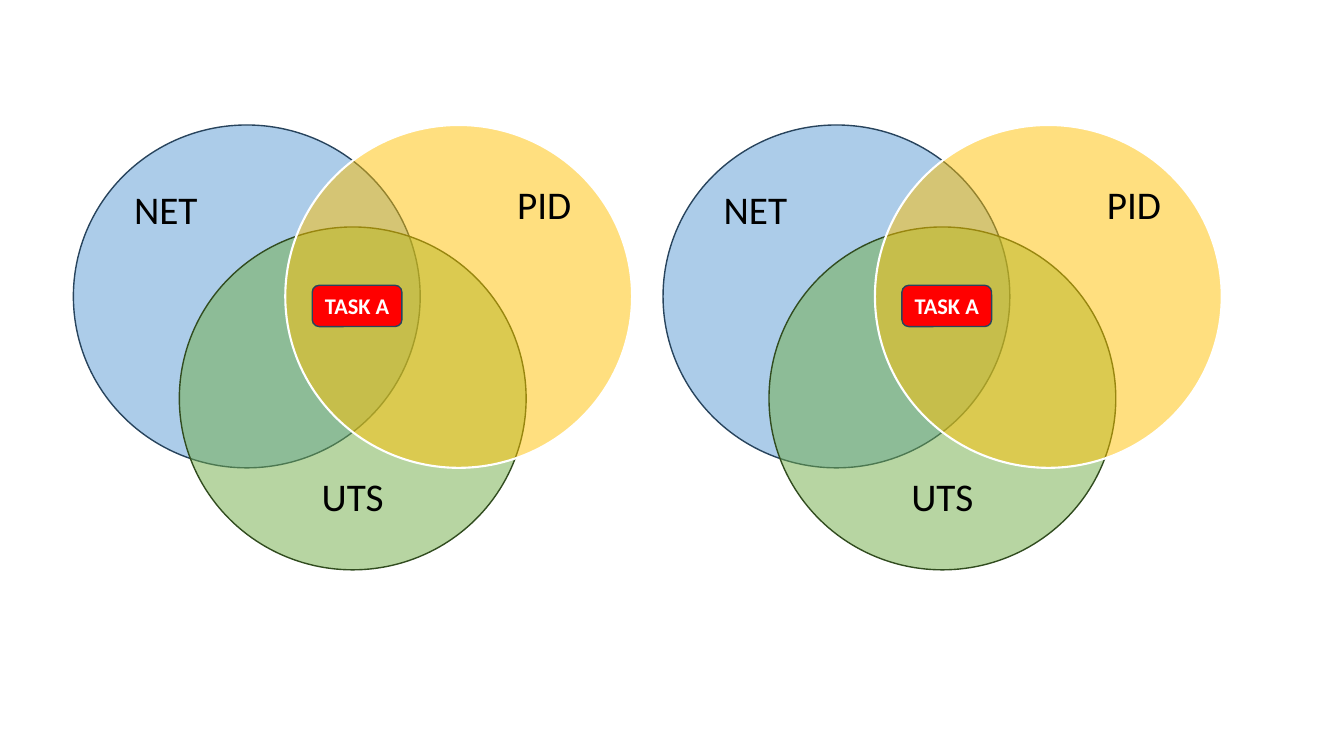
import pptx
import pptx.util
import pptx.dml.color
import pptx.enum.shapes
import pptx.enum.text
from lxml import etree
from pptx.oxml.ns import qn

Cm = pptx.util.Cm
Pt = pptx.util.Pt
SHAPE = pptx.enum.shapes.MSO_SHAPE
ALIGN = pptx.enum.text.PP_ALIGN
ANCHOR = pptx.enum.text.MSO_ANCHOR

CIRCLE_WIDTH, CIRCLE_HEIGHT = 8.74, 8.64
STEP_X, STEP_Y = 2.67, 2.57
TASK_WIDTH, TASK_HEIGHT = 2.26, 1.04


def color(hex_string):
    return pptx.dml.color.RGBColor.from_string(hex_string)


def write_text(shape, text, size=28, font_color="000000", bold=False, align=ALIGN.LEFT,
               anchor=ANCHOR.TOP, margin_top=0.13, margin_bottom=0.13, wrap=True):
    frame = shape.text_frame
    frame.word_wrap = wrap
    frame.vertical_anchor = anchor
    frame.margin_left = frame.margin_right = Cm(0.25)
    frame.margin_top, frame.margin_bottom = Cm(margin_top), Cm(margin_bottom)
    paragraph = frame.paragraphs[0]
    paragraph.alignment = align
    run = paragraph.add_run()
    run.text = text
    run.font.name = "Calibri"
    run.font.size = Pt(size)
    run.font.bold = bold
    run.font.color.rgb = color(font_color)


def add_filled_shape(slide, kind, box, fill, line, line_width=1, opacity=100):
    shape = slide.shapes.add_shape(kind, *(Cm(length) for length in box))
    shape.shadow.inherit = False
    shape.fill.solid()
    shape.fill.fore_color.rgb = color(fill)
    if opacity < 100:
        fill_element = shape.fill._xPr.find(qn("a:solidFill"))[0]
        etree.SubElement(fill_element, qn("a:alpha"), val=str(opacity * 1000))
    shape.line.color.rgb = color(line)
    shape.line.width = Pt(line_width)
    return shape


def add_namespace_diagram(slide, left, top):
    # Three overlapping namespaces, each one step further right
    namespaces = [
        ("NET", 0, "5B9BD5", "28445D", 1, dict(margin_top=0.25)),
        ("UTS", STEP_Y, "70AD47", "314C1F", 1,
         dict(align=ALIGN.CENTER, anchor=ANCHOR.BOTTOM, margin_bottom=0)),
        ("PID", 0, "FFC000", "FFFFFF", 1.5, dict(align=ALIGN.RIGHT)),
    ]
    for index, (name, drop, fill, line, line_width, text_format) in enumerate(namespaces):
        box = (left + index * STEP_X, top + drop, CIRCLE_WIDTH, CIRCLE_HEIGHT)
        circle = add_filled_shape(slide, SHAPE.OVAL, box, fill, line, line_width, opacity=50)
        write_text(circle, name, **text_format)

    # Task in the shared area
    box = (left + 6.02, top + 4.04, TASK_WIDTH, TASK_HEIGHT)
    task = add_filled_shape(slide, SHAPE.ROUNDED_RECTANGLE, box, "FF0000", "28445D")
    write_text(task, "TASK A", size=16, font_color="FFFFFF", bold=True,
               align=ALIGN.CENTER, anchor=ANCHOR.MIDDLE, wrap=False)


def main():
    presentation = pptx.Presentation()
    presentation.slide_width, presentation.slide_height = Cm(33.87), Cm(19.05)
    slide = presentation.slides.add_slide(presentation.slide_layouts[6])
    for column in range(2):
        add_namespace_diagram(slide, 1.85 + column * 14.86, 3.15)
    presentation.save("out.pptx")


if __name__ == "__main__":
    main()
